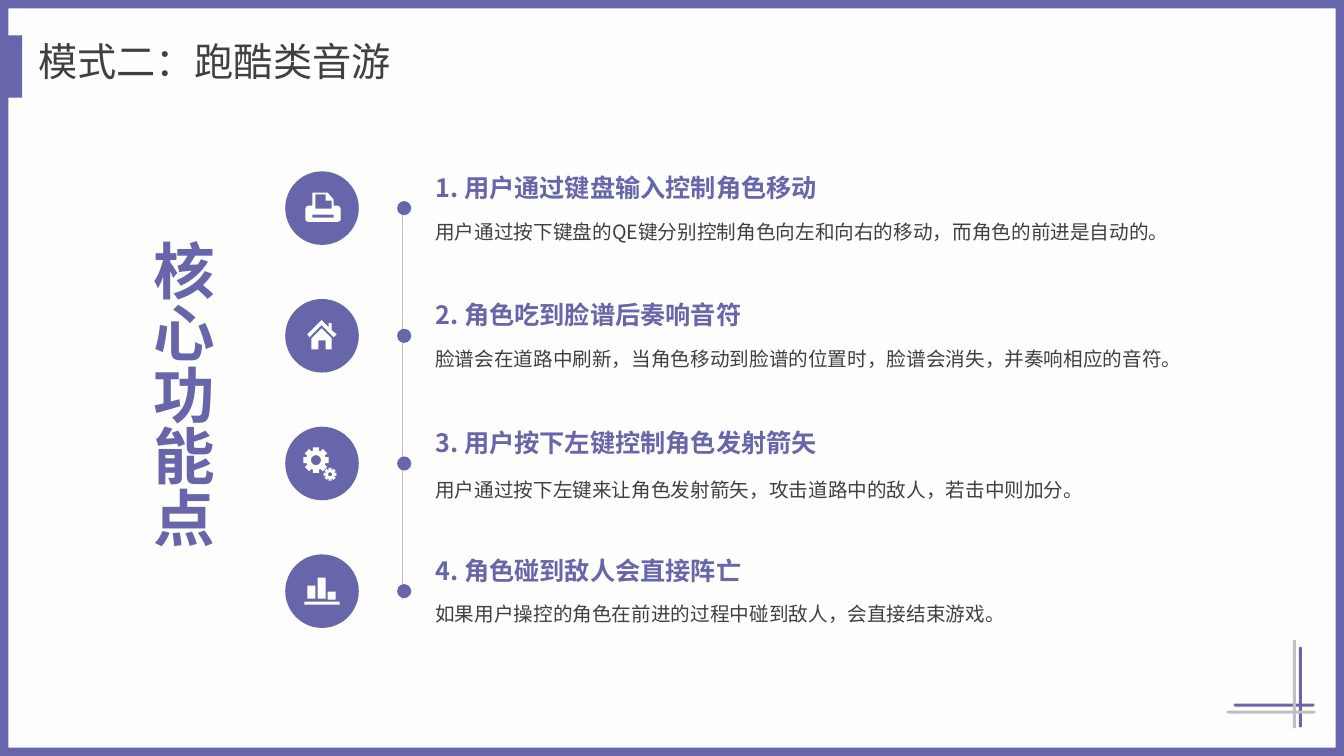
import math

import lxml.etree
import pptx
import pptx.dml.color
import pptx.enum.shapes
import pptx.enum.text
import pptx.oxml.ns
import pptx.util

SHAPES = pptx.enum.shapes.MSO_SHAPE
COLUMNS = 40
SLIDE_WIDTH, SLIDE_HEIGHT = 12192000, 6858000
CELL = SLIDE_WIDTH // COLUMNS
ROWS = SLIDE_HEIGHT / CELL
ICON_STEP = 0.03
PURPLE, SILVER, CHARCOAL, WHITE = "6866AB", "BFBFBF", "404040", "FFFFFF"
SC_FONT, JP_FONT = "Noto Sans CJK SC", "Noto Sans CJK JP"

FEATURES = [
    ("1. 用户通过键盘输入控制角色移动", 15.15,
     "用户通过按下键盘的QE键分别控制角色向左和向右的移动，而角色的前进是自动的。", 23.04, 1.26),
    ("2. 角色吃到脸谱后奏响音符", 10.38,
     "脸谱会在道路中刷新，当角色移动到脸谱的位置时，脸谱会消失，并奏响相应的音符。", 24.3, 1.24),
    ("3. 用户按下左键控制角色发射箭矢", 13.11,
     "用户通过按下左键来让角色发射箭矢，攻击道路中的敌人，若击中则加分。", 25.35, 1.34),
    ("4. 角色碰到敌人会直接阵亡", 10.8,
     "如果用户操控的角色在前进的过程中碰到敌人，会直接结束游戏。", 20.13, 1.23),
]
FEATURE_TOP, FEATURE_PITCH = 5.1, 3.8
CIRCLE_LEFT, CIRCLE_SIZE = 8.49, 2.19
DOT_LEFT, DOT_SIZE = 11.82, 0.42
TEXT_LEFT = 12.66

PRINTER = [
    [(27, 21), (42, 21), (48, 28), (48, 34), (52, 34), (54, 35), (55, 37), (55, 48),
     (54, 49.5), (52, 50), (23, 50), (21, 49.5), (20, 48), (20, 37), (21, 35),
     (23, 34), (27, 34)],
    [(30, 23), (40, 23), (40, 29), (46, 29), (46, 37), (30, 37)],
    [(27, 43), (48, 43), (48, 46), (27, 46)],
]
ROOF = [[(46, 31), (46, 24), (43, 24), (43, 28), (36, 21), (22, 35), (24, 38),
         (36, 26), (48, 38), (51, 35)]]
WALLS = [[(36, 29), (26, 39), (26, 50), (33, 50), (33, 41), (40, 41), (40, 50),
          (46, 50), (46, 39)]]
BARS = [(19, 47, 35, 3), (32, 23, 8, 21), (22, 31, 8, 13), (42, 37, 8, 8)]


def color(value):
    """Turn a hex string into a colour."""
    return pptx.dml.color.RGBColor.from_string(value)


def cells(*values):
    """Turn grid cells into slide lengths."""
    return [pptx.util.Emu(round(value * CELL)) for value in values]


def write(shape, text, size=18, font=JP_FONT, fill=CHARCOAL, bold=False,
          wrap=True, spacing=0.87, vertical=False):
    """Write one formatted paragraph into a shape."""
    frame = shape.text_frame
    frame.word_wrap = wrap
    frame.auto_size = pptx.enum.text.MSO_AUTO_SIZE.SHAPE_TO_FIT_TEXT
    frame.vertical_anchor = pptx.enum.text.MSO_ANCHOR.TOP
    if vertical:
        frame._txBody.bodyPr.set("vert", "eaVert")
    paragraph = frame.paragraphs[0]
    paragraph.alignment = pptx.enum.text.PP_ALIGN.LEFT
    paragraph.line_spacing = spacing
    run = paragraph.add_run()
    run.text = text
    run.font.size = pptx.util.Pt(size)
    run.font.name = font
    run.font.bold = bold
    run.font.color.rgb = color(fill)
    east_asian = lxml.etree.SubElement(run._r.get_or_add_rPr(), pptx.oxml.ns.qn("a:ea"))
    east_asian.set("typeface", font)


def gear(x, y, outer, root, hole):
    """Return the contours of an eight-toothed gear with a round hole."""
    def point(radius, degrees):
        angle = math.radians(degrees)
        return x + radius * math.cos(angle), y + radius * math.sin(angle)

    profile = [(root, -17), (outer, -14), (outer, 14), (root, 17)]
    teeth = [point(radius, 45 * tooth + turn)
             for tooth in range(8) for radius, turn in profile]
    return [teeth, [point(hole, 15 * step) for step in range(24)]]


class Deck:
    """Hold the style and the current slide."""

    def __init__(self):
        """Start a presentation with one title-only slide."""
        self.presentation = pptx.Presentation()
        self.presentation.slide_width = SLIDE_WIDTH
        self.presentation.slide_height = SLIDE_HEIGHT
        self.slide = self.presentation.slides.add_slide(self.presentation.slide_layouts[5])
        background = self.slide.background.fill
        background.solid()
        background.fore_color.rgb = color("FEFEFE")

    def paint(self, shape, fill):
        """Give a shape a plain fill without line or shadow."""
        shape.shadow.inherit = False
        shape.fill.solid()
        shape.fill.fore_color.rgb = color(fill)
        shape.line.fill.background()

    def shape(self, kind, left, top, width, height, fill=PURPLE, adjustment=None):
        """Add a preset shape."""
        shape = self.slide.shapes.add_shape(kind, *cells(left, top, width, height))
        self.paint(shape, fill)
        if adjustment is not None:
            shape.adjustments[0] = adjustment

    def title(self, text, left, top, width, height, **style):
        """Place and format the slide title."""
        shape = self.slide.shapes.title
        shape.left, shape.top, shape.width, shape.height = cells(left, top, width, height)
        write(shape, text, **style)

    def text(self, text, left, top, width, height, **style):
        """Add a text box."""
        write(self.slide.shapes.add_textbox(*cells(left, top, width, height)), text, **style)

    def line(self, x, top, bottom):
        """Add a thin vertical line."""
        connector = self.slide.shapes.add_connector(
            pptx.enum.shapes.MSO_CONNECTOR.STRAIGHT, *cells(x, top, x, bottom))
        connector.line.color.rgb = color(SILVER)
        connector.line.width = pptx.util.Pt(0.5)
        lxml.etree.SubElement(connector._element.spPr, pptx.oxml.ns.qn("a:effectLst"))

    def outline(self, contours, top):
        """Add a white icon outline inside the circle at a given row."""
        contours = [[(round(x * 10), round(y * 10)) for x, y in contour]
                    for contour in contours]
        builder = self.slide.shapes.build_freeform(*contours[0][0], scale=CELL * ICON_STEP / 10)
        builder.add_line_segments(contours[0][1:], close=True)
        for contour in contours[1:]:
            builder.move_to(*contour[0])
            builder.add_line_segments(contour[1:], close=True)
        self.paint(builder.convert_to_shape(*cells(CIRCLE_LEFT, top)), WHITE)

    def feature(self, top, heading, heading_width, body, body_width, body_offset):
        """Add a circle, a timeline dot, a heading and its description."""
        self.shape(SHAPES.OVAL, CIRCLE_LEFT, top, CIRCLE_SIZE, CIRCLE_SIZE)
        dot_top = top + (CIRCLE_SIZE - DOT_SIZE) / 2
        self.shape(SHAPES.OVAL, DOT_LEFT, dot_top, DOT_SIZE, DOT_SIZE)
        self.text(heading, TEXT_LEFT, top, heading_width, 1.2, fill=PURPLE, bold=True)
        self.text(body, TEXT_LEFT, top + body_offset, body_width, 1.02,
                  size=14, spacing=pptx.util.Pt(18))


def main():
    """Build and save the slide."""
    deck = Deck()
    deck.shape(SHAPES.FRAME, 0, 0, COLUMNS, ROWS, adjustment=0.011)
    deck.shape(SHAPES.RECTANGLE, 0, 1.05, 0.66, 1.86)
    deck.title("模式二：跑酷类音游", 0.84, 1.14, 11.22, 1.71,
               size=28, font=SC_FONT, wrap=False)
    for left, top, width, height, fill in [
        (36.72, 20.94, 2.4, 0.09, PURPLE), (38.66, 19.25, 0.09, 2.4, PURPLE),
        (36.51, 21.15, 2.64, 0.09, SILVER), (38.48, 19.04, 0.09, 2.64, SILVER),
    ]:
        deck.shape(SHAPES.ROUNDED_RECTANGLE, left, top, width, height, fill, 0.5)

    deck.line(11.97, 6.18, 17.82)
    tops = [FEATURE_TOP + FEATURE_PITCH * index for index in range(len(FEATURES))]
    for top, feature in zip(tops, FEATURES):
        deck.feature(top, *feature)

    printer_top, house_top, gears_top, chart_top = tops
    deck.outline(PRINTER, printer_top)
    deck.outline(ROOF, house_top)
    deck.outline(WALLS, house_top)
    deck.outline(gear(30.5, 33.2, 13, 9.8, 5), gears_top)
    deck.outline(gear(44.5, 47.2, 6.5, 4.7, 2), gears_top)
    for bar in BARS:
        left, top, width, height = [value * ICON_STEP for value in bar]
        deck.shape(SHAPES.RECTANGLE, CIRCLE_LEFT + left, chart_top + top, width, height, WHITE)

    deck.text("核心功能点", 3.54, 6.87, 2.82, 9.87, size=44, font=SC_FONT,
              fill=PURPLE, bold=True, vertical=True)
    deck.presentation.save("out.pptx")


if __name__ == "__main__":
    main()
